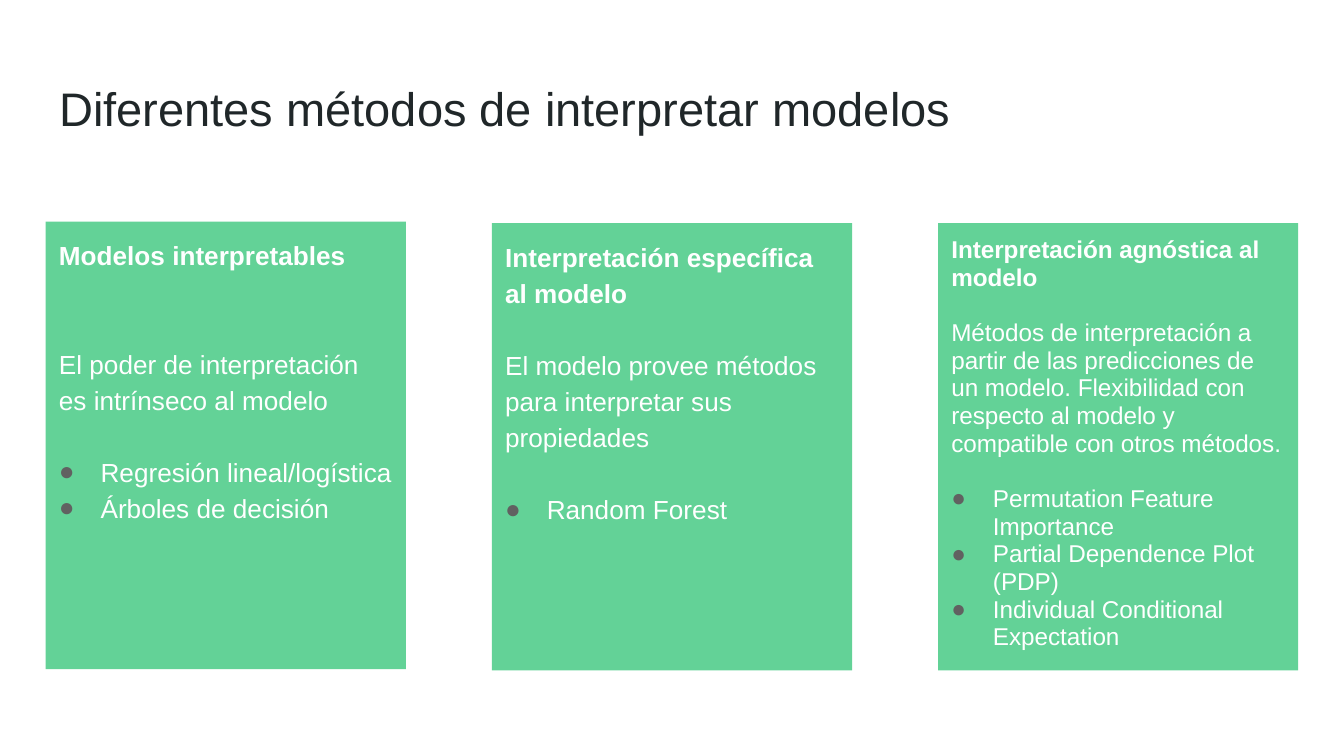
from lxml.etree import SubElement
from pptx import Presentation
from pptx.dml.color import RGBColor
from pptx.enum.shapes import MSO_SHAPE
from pptx.enum.text import MSO_ANCHOR, MSO_AUTO_SIZE, PP_ALIGN
from pptx.oxml.ns import qn
from pptx.util import Inches, Pt

INK = RGBColor(0x20, 0x27, 0x29)
GREEN = RGBColor(0x63, 0xD2, 0x97)
WHITE = RGBColor(0xFF, 0xFF, 0xFF)
BULLET_GRAY = RGBColor(0x61, 0x61, 0x61)
FONT = "Arial"
MARGIN, CARD_WIDTH, CARD_HEIGHT, CARD_STEP = 0.34, 2.68, 3.33, 3.32
LINE_FACTOR = 1.2

CARDS = [
    (1.65, 14, 1.15, 2, "Modelos interpretables",
     "El poder de interpretación es intrínseco al modelo",
     ["Regresión lineal/logística", "Árboles de decisión"]),
    (1.66, 14, 1.15, 1, "Interpretación específica al modelo",
     "El modelo provee métodos para interpretar sus propiedades",
     ["Random Forest"]),
    (1.66, 13, 0.95, 1, "Interpretación agnóstica al modelo",
     "Métodos de interpretación a partir de las predicciones de un modelo. "
     "Flexibilidad con respecto al modelo y compatible con otros métodos.",
     ["Permutation Feature Importance", "Partial Dependence Plot (PDP)",
      "Individual Conditional Expectation"]),
]


def prepare_frame(frame):
    """Give a text frame equal insets, wrapping and top anchoring."""
    frame.word_wrap = True
    frame.auto_size = MSO_AUTO_SIZE.NONE
    frame.vertical_anchor = MSO_ANCHOR.TOP
    frame.margin_left = frame.margin_right = Inches(0.1)
    frame.margin_top = frame.margin_bottom = Inches(0.1)


def write(paragraph, text, size, color, bold=False):
    """Add one formatted run to a left-aligned paragraph."""
    paragraph.alignment = PP_ALIGN.LEFT
    run = paragraph.add_run()
    run.text = text
    run.font.name = FONT
    run.font.size = Pt(size)
    run.font.bold = bold
    run.font.color.rgb = color


def add_bullet(paragraph):
    """Give a paragraph a hanging gray bullet."""
    properties = paragraph._p.get_or_add_pPr()
    properties.set("marL", str(Inches(0.31)))
    properties.set("indent", str(-Inches(0.31)))
    bullet_color = SubElement(properties, qn("a:buClr"))
    SubElement(bullet_color, qn("a:srgbClr"), val=str(BULLET_GRAY))
    SubElement(properties, qn("a:buFont"), typeface=FONT)
    SubElement(properties, qn("a:buChar"), char="●")


def place_title(slide, left, top, width, height):
    """Move and format the title placeholder."""
    title = slide.shapes.title
    title.left, title.top = Inches(left), Inches(top)
    title.width, title.height = Inches(width), Inches(height)
    prepare_frame(title.text_frame)
    write(title.text_frame.paragraphs[0],
          "Diferentes métodos de interpretar modelos", 25.2, INK)


def place_card(slide, left, top, size, spacing, heading_gap, heading, summary, examples):
    """Draw a green card with a heading, a summary and bulleted examples."""
    card = slide.shapes.add_shape(MSO_SHAPE.RECTANGLE, Inches(left), Inches(top),
                                  Inches(CARD_WIDTH), Inches(CARD_HEIGHT))
    card.shadow.inherit = False
    card.fill.solid()
    card.fill.fore_color.rgb = GREEN
    card.line.fill.background()
    frame = card.text_frame
    prepare_frame(frame)
    blank_line = size * spacing * LINE_FACTOR
    gaps = [0, heading_gap, 1] + [0] * (len(examples) - 1)
    for index, (text, gap) in enumerate(zip([heading, summary, *examples], gaps)):
        paragraph = frame.add_paragraph() if index else frame.paragraphs[0]
        paragraph.line_spacing = spacing
        paragraph.space_before = Pt(round(gap * blank_line, 1))
        write(paragraph, text, size, WHITE, bold=index == 0)
        if index > 1:
            add_bullet(paragraph)


def main():
    """Build and save the slide."""
    deck = Presentation()
    deck.slide_width = Inches(10)
    deck.slide_height = deck.slide_width * 9 // 16
    slide = deck.slides.add_slide(deck.slide_layouts[5])
    place_title(slide, MARGIN, 0.49, 9.32, 0.63)
    for column, card in enumerate(CARDS):
        place_card(slide, MARGIN + column * CARD_STEP, *card)
    deck.save("out.pptx")


if __name__ == "__main__":
    main()
